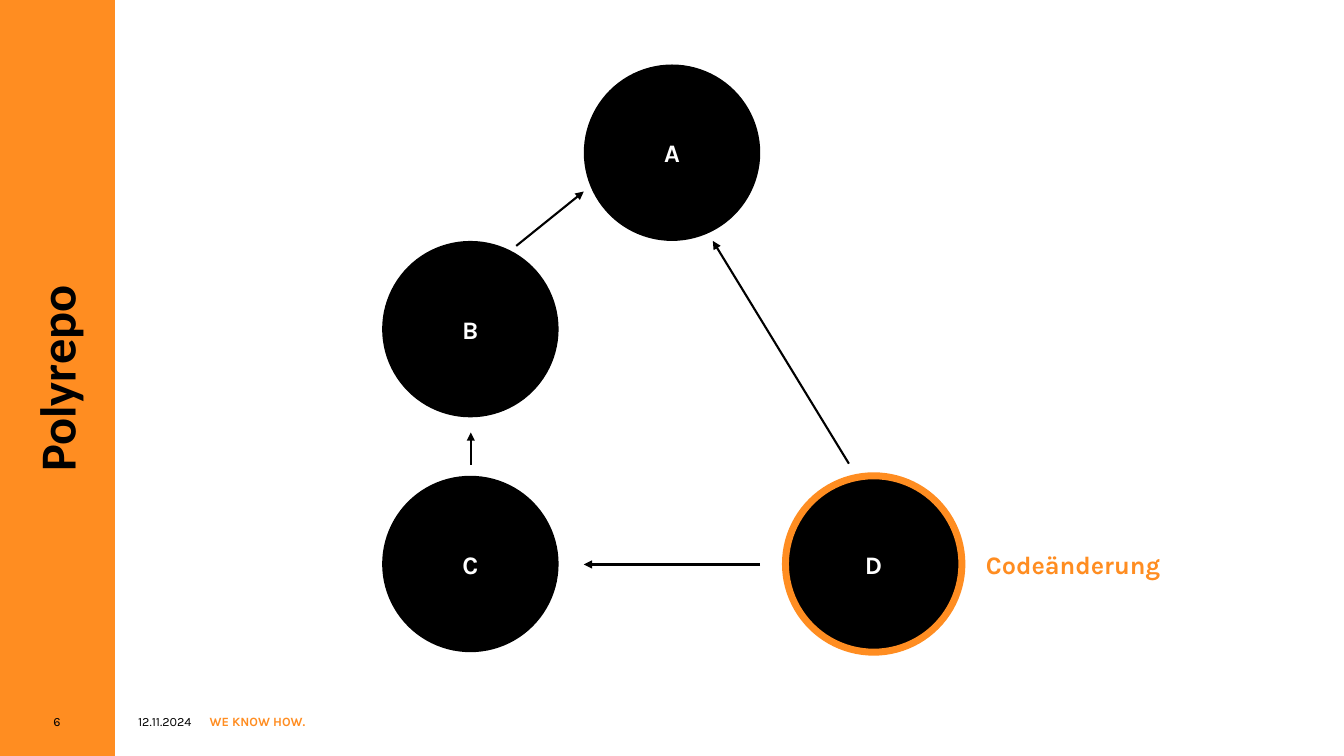
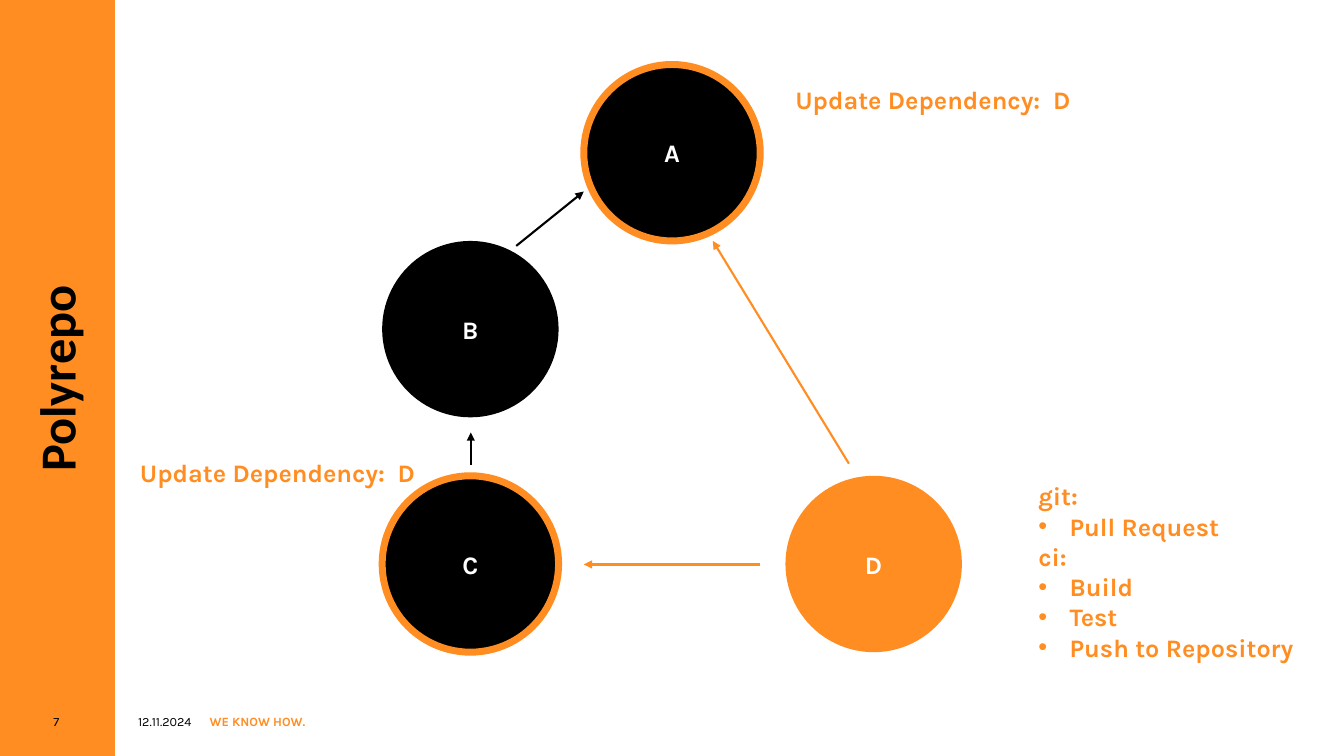
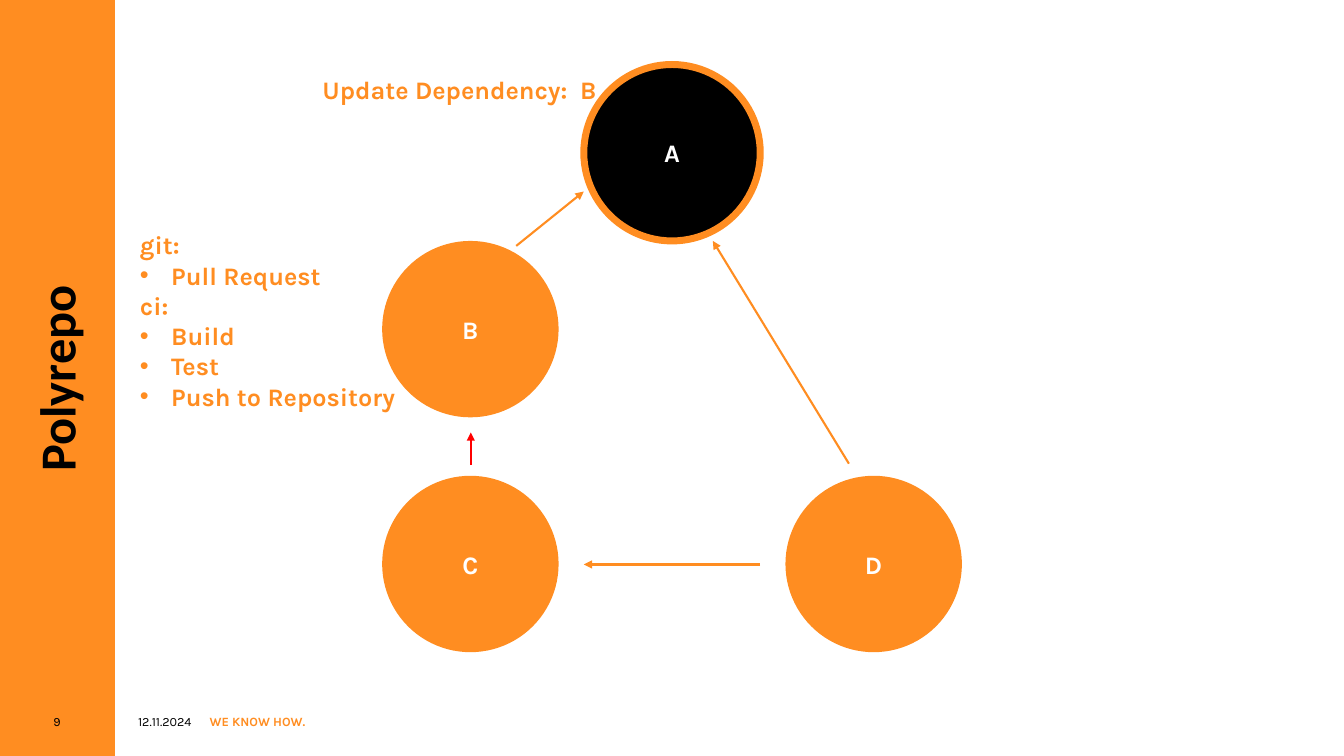
from lxml.etree import SubElement
from pptx import Presentation
from pptx.dml.color import RGBColor
from pptx.enum.shapes import MSO_CONNECTOR, MSO_SHAPE
from pptx.enum.text import MSO_ANCHOR, PP_ALIGN
from pptx.oxml.ns import qn
from pptx.util import Pt

PX = 9144
SLIDE_WIDTH, SLIDE_HEIGHT = 1333, 750
ORANGE = RGBColor(0xFF, 0x8D, 0x21)
BLACK = RGBColor(0, 0, 0)
WHITE = RGBColor(0xFF, 0xFF, 0xFF)
RED = RGBColor(0xFF, 0, 0)
BODY_FONT, TITLE_FONT = "Karla", "Calibri"

DIAMETER = 175
BULLET_INDENT = 31
FOOTER_TOP, FOOTER_HEIGHT = 696, 40
REPOS = {"A": (579, 64), "B": (379, 239), "C": (379, 472), "D": (779, 472)}
DEPENDENCIES = {
    "DC": ((754, 560), (579, 560)),
    "DA": ((842, 460), (707, 239)),
    "BA": ((512, 244), (579, 190)),
    "CB": ((467, 461), (467, 429)),
}
RELEASE_STEPS = ["git:", "• Pull Request", "ci:", "• Build", "• Test", "• Push to Repository"]

STAGES = [
    {
        "number": 6, "released": "", "outlined": "D", "arrows": {},
        "labels": [((968, 540, 211, 40), ["Codeänderung"])],
    },
    {
        "number": 7, "released": "D", "outlined": "AC",
        "arrows": {"DC": ORANGE, "DA": ORANGE},
        "labels": [
            ((1020, 472, 313, 222), RELEASE_STEPS),
            ((779, 79, 313, 71), ["Update Dependency:  D"]),
            ((129, 449, 313, 71), ["Update Dependency:  D"]),
        ],
    },
    {
        "number": 9, "released": "BCD", "outlined": "A",
        "arrows": {"DC": ORANGE, "DA": ORANGE, "BA": ORANGE, "CB": RED},
        "labels": [
            ((129, 223, 313, 222), RELEASE_STEPS),
            ((310, 69, 313, 71), ["Update Dependency:  B"]),
        ],
    },
]


def px(*lengths):
    return [length * PX for length in lengths]


def add_bullet(paragraph):
    properties = paragraph._p.get_or_add_pPr()
    properties.set("marL", str(BULLET_INDENT * PX))
    properties.set("indent", str(-BULLET_INDENT * PX))
    SubElement(properties, qn("a:buFont")).set("typeface", "Arial")
    SubElement(properties, qn("a:buChar")).set("char", "•")


def write(frame, lines, size=18, font=BODY_FONT, color=ORANGE, bold=True,
          align=PP_ALIGN.LEFT, anchor=MSO_ANCHOR.TOP, inset=True):
    frame.word_wrap = True
    frame.vertical_anchor = anchor
    if not inset:
        frame.margin_left = frame.margin_right = frame.margin_top = frame.margin_bottom = 0
    for index, line in enumerate(lines):
        paragraph = frame.paragraphs[0] if index == 0 else frame.add_paragraph()
        paragraph.alignment = align
        if line.startswith("• "):
            add_bullet(paragraph)
        run = paragraph.add_run()
        run.text = line.removeprefix("• ")
        run.font.size = Pt(size)
        run.font.name = font
        run.font.bold = bold
        run.font.color.rgb = color


def add_text(slide, box, lines, rotation=0, **text_format):
    label = slide.shapes.add_textbox(*px(*box))
    label.rotation = rotation
    write(label.text_frame, lines, **text_format)


def add_filled(slide, preset, box, fill, outline=None):
    shape = slide.shapes.add_shape(preset, *px(*box))
    shape.shadow.inherit = False
    shape.fill.solid()
    shape.fill.fore_color.rgb = fill
    if outline is None:
        shape.line.fill.background()
    else:
        shape.line.color.rgb = outline
        shape.line.width = Pt(5)
    return shape


def add_repo(slide, name, fill, outline):
    circle = add_filled(slide, MSO_SHAPE.OVAL, (*REPOS[name], DIAMETER, DIAMETER), fill, outline)
    write(circle.text_frame, [name], color=WHITE, align=PP_ALIGN.CENTER, anchor=MSO_ANCHOR.MIDDLE)


def add_arrow(slide, start, end, color):
    arrow = slide.shapes.add_connector(MSO_CONNECTOR.STRAIGHT, *px(*start, *end))
    arrow.line.color.rgb = color
    arrow.line.width = Pt(1.5)
    SubElement(arrow.line._get_or_add_ln(), qn("a:tailEnd")).set("type", "triangle")
    SubElement(arrow._element.spPr, qn("a:effectLst"))


def add_frame(slide, number):
    add_filled(slide, MSO_SHAPE.RECTANGLE, (0, 0, 114, SLIDE_HEIGHT), ORANGE)
    add_text(slide, (-111, 345, 333, 61), ["Polyrepo"], rotation=270, size=36,
             font=TITLE_FONT, color=BLACK, align=PP_ALIGN.CENTER, inset=False)
    footers = [
        (137, 67, "12.11.2024", BLACK, False),
        (208, 333, "WE KNOW HOW.", ORANGE, True),
        (53, 45, str(number), BLACK, False),
    ]
    for left, width, text, color, bold in footers:
        add_text(slide, (left, FOOTER_TOP, width, FOOTER_HEIGHT), [text], size=9,
                 color=color, bold=bold, anchor=MSO_ANCHOR.MIDDLE, inset=False)


def add_stage(presentation, stage):
    slide = presentation.slides.add_slide(presentation.slide_layouts[6])
    add_frame(slide, stage["number"])
    for name in REPOS:
        fill = ORANGE if name in stage["released"] else BLACK
        outline = ORANGE if name in stage["outlined"] else None
        add_repo(slide, name, fill, outline)
    for pair, (start, end) in DEPENDENCIES.items():
        add_arrow(slide, start, end, stage["arrows"].get(pair, BLACK))
    for box, lines in stage["labels"]:
        add_text(slide, box, lines)


def main():
    presentation = Presentation()
    presentation.slide_width, presentation.slide_height = px(SLIDE_WIDTH, SLIDE_HEIGHT)
    for stage in STAGES:
        add_stage(presentation, stage)
    presentation.save("out.pptx")


if __name__ == "__main__":
    main()
